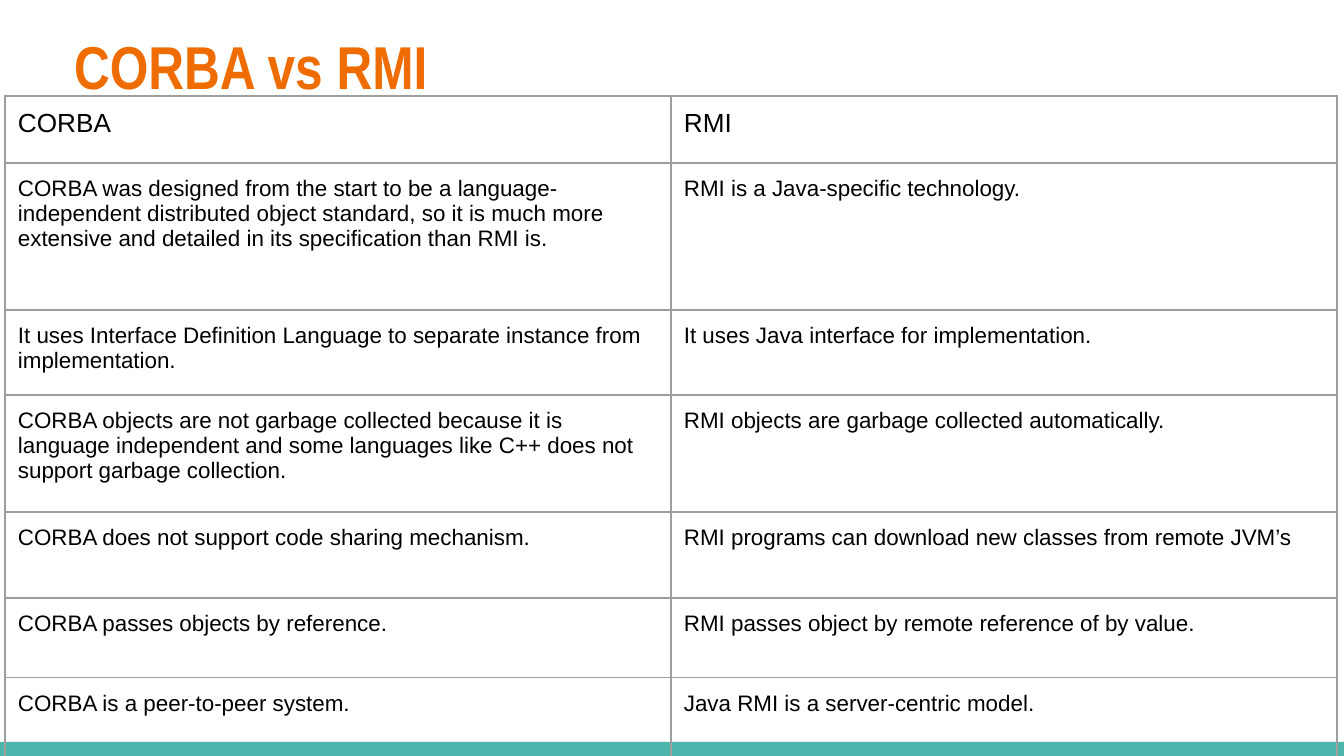
from typing import NamedTuple

from lxml.etree import SubElement
from pptx import Presentation
from pptx.dml.color import RGBColor
from pptx.enum.shapes import MSO_SHAPE as Shape
from pptx.enum.text import MSO_ANCHOR as Anchor, MSO_AUTO_SIZE as AutoSize, PP_ALIGN as Align
from pptx.oxml.ns import qn
from pptx.util import Emu, Pt

EMU_PER_PX = 914400 / 134.4
PAGE_WIDTH, PAGE_HEIGHT = 1344, 756
INSET = 13

ORANGE = RGBColor(0xEF, 0x6C, 0x00)
TEAL = RGBColor(0x4D, 0xB6, 0xAC)
GREY = RGBColor(0x9E, 0x9E, 0x9E)
BLACK = RGBColor(0x00, 0x00, 0x00)


class Box(NamedTuple):
    left: int
    top: int
    width: int
    height: int


class Comparison(NamedTuple):
    height: int
    corba: str
    rmi: str
    size: int = 12


COMPARISONS = [
    Comparison(67, "CORBA", "RMI", 14),
    Comparison(147, "CORBA was designed from the start to be a language-independent distributed "
               "object standard, so it is much more extensive and detailed in its "
               "specification than RMI is.",
               "RMI is a Java-specific technology."),
    Comparison(85, "It uses Interface Definition Language to separate instance from implementation.",
               "It uses Java interface for implementation."),
    Comparison(117, "CORBA objects are not garbage collected because it is language independent "
               "and some languages like C++ does not support garbage collection.",
               "RMI objects are garbage collected automatically."),
    Comparison(86, "CORBA does not support code sharing mechanism.",
               "RMI programs can download new classes from remote JVM’s"),
    Comparison(80, "CORBA passes objects by reference.",
               "RMI passes object by remote reference of by value."),
    Comparison(81, "CORBA is a peer-to-peer system.", "Java RMI is a server-centric model."),
]


def px(length: int) -> Emu:
    return Emu(round(length * EMU_PER_PX))


def emu_box(box: Box) -> list[Emu]:
    return [px(length) for length in box]


def set_insets(target) -> None:
    """Give a cell or text frame the same margin on every side."""
    target.margin_left = target.margin_right = px(INSET)
    target.margin_top = target.margin_bottom = px(INSET)


def add_borders(cell) -> None:
    properties = cell._tc.get_or_add_tcPr()
    for side in ("lnL", "lnR", "lnT", "lnB"):
        line = SubElement(properties, qn(f"a:{side}"), w=str(Pt(0.75)))
        fill = SubElement(line, qn("a:solidFill"))
        SubElement(fill, qn("a:srgbClr"), val=str(GREY))


def fill_cell(cell, text: str, size: int) -> None:
    set_insets(cell)
    add_borders(cell)
    cell.fill.background()
    cell.text_frame.text = text
    font = cell.text_frame.paragraphs[0].runs[0].font
    font.name, font.size, font.bold = "Arial", Pt(size), False
    font.color.rgb = BLACK


def add_title(page, text: str, box: Box) -> None:
    title = page.shapes.title
    title.left, title.top, title.width, title.height = emu_box(box)
    frame = title.text_frame
    frame.text = text
    frame.auto_size = AutoSize.NONE
    frame.vertical_anchor = Anchor.BOTTOM
    set_insets(frame)
    para = frame.paragraphs[0]
    para.alignment = Align.LEFT
    font = para.runs[0].font
    font.name, font.size, font.bold = "Arial Narrow", Pt(32.4), True
    font.color.rgb = ORANGE


def add_bar(page, box: Box) -> None:
    bar = page.shapes.add_shape(Shape.RECTANGLE, *emu_box(box))
    bar.shadow.inherit = False
    bar.fill.solid()
    bar.fill.fore_color.rgb = TEAL
    bar.line.fill.background()


def add_comparison_table(page, left: int, top: int, column_width: int,
                         comparisons: list[Comparison]) -> None:
    box = Box(left, top, 2 * column_width, sum(item.height for item in comparisons))
    table = page.shapes.add_table(len(comparisons), 2, *emu_box(box)).table
    table.first_row = table.horz_banding = False
    for column in table.columns:
        column.width = px(column_width)
    for row, item in zip(table.rows, comparisons):
        row.height = px(item.height)
        for cell, text in zip(row.cells, (item.corba, item.rmi)):
            fill_cell(cell, text, item.size)


def main() -> None:
    deck = Presentation()
    deck.slide_width, deck.slide_height = px(PAGE_WIDTH), px(PAGE_HEIGHT)
    page = deck.slides.add_slide(deck.slide_layouts.get_by_name("Title Only"))

    # Title and footer bar
    add_title(page, "CORBA vs RMI", Box(61, 12, 1253, 103))
    add_bar(page, Box(0, 742, PAGE_WIDTH, 14))

    # Comparison table, its last row running over the bar
    add_comparison_table(page, 5, 96, 666, COMPARISONS)

    deck.save("out.pptx")


if __name__ == "__main__":
    main()
